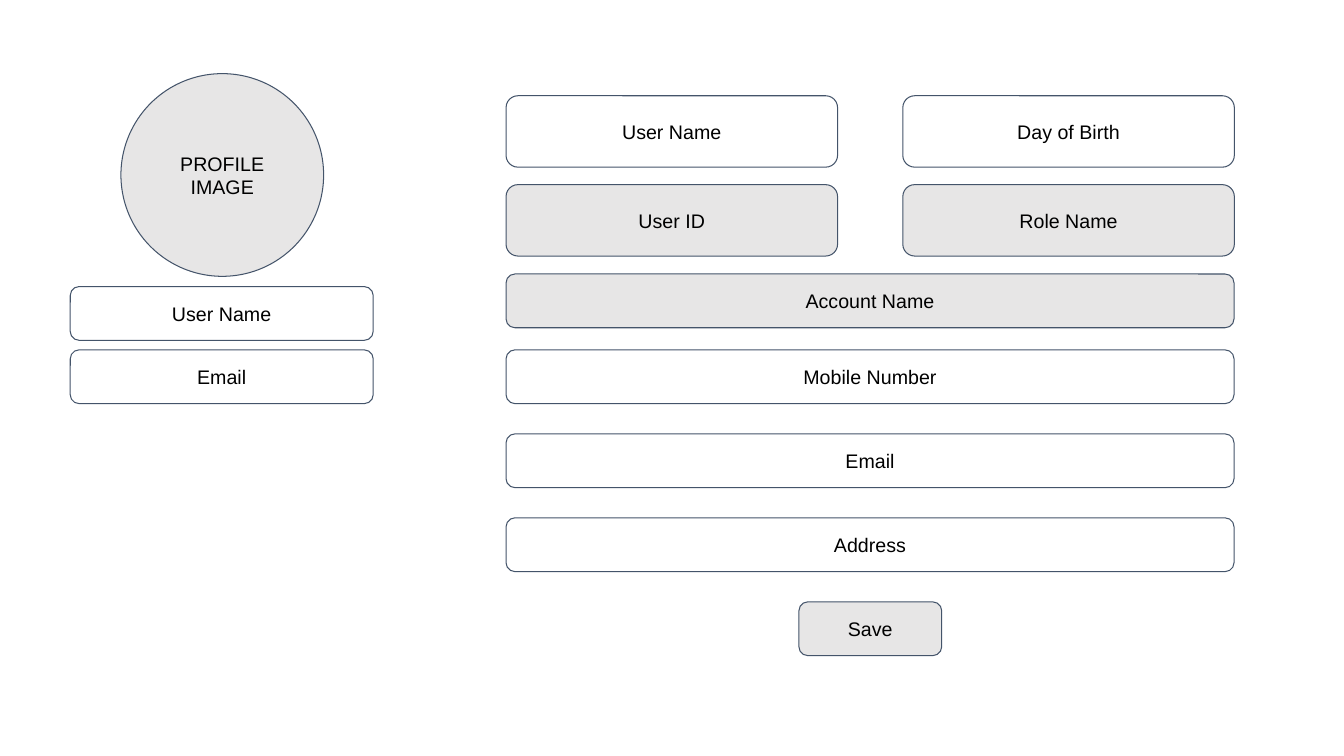
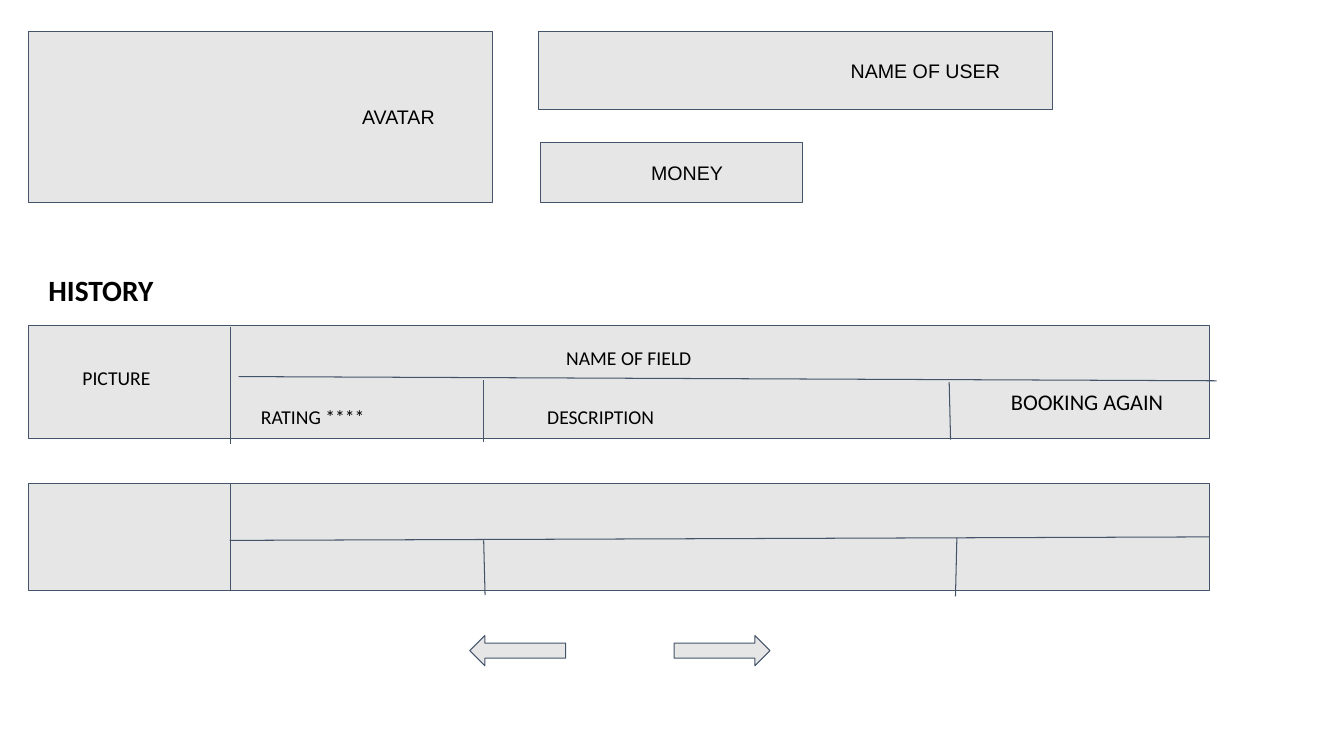
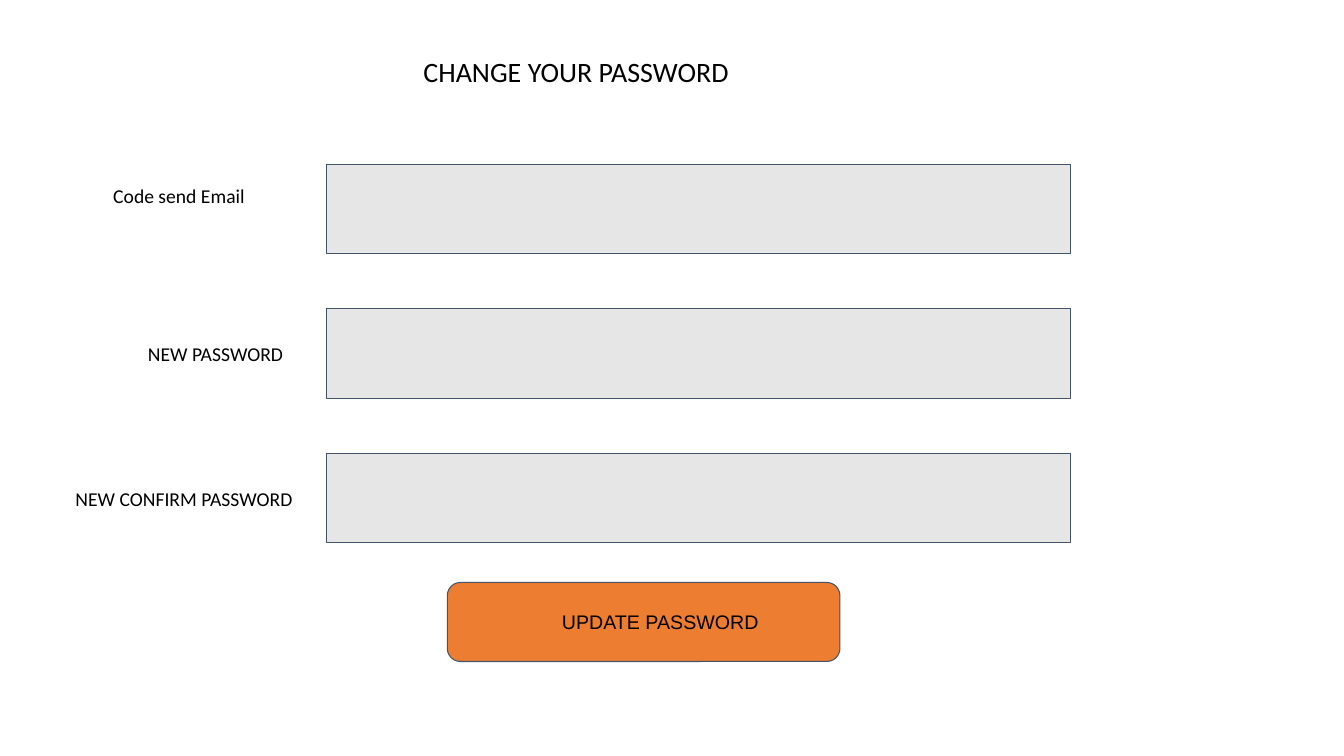
from lxml import etree
from pptx import Presentation
from pptx.dml.color import RGBColor
from pptx.enum.shapes import MSO_CONNECTOR, MSO_SHAPE
from pptx.enum.text import MSO_ANCHOR, MSO_AUTO_SIZE, PP_ALIGN
from pptx.oxml.ns import qn
from pptx.util import Pt

WHITE = RGBColor(0xFF, 0xFF, 0xFF)
BLACK = RGBColor(0x00, 0x00, 0x00)
GRAY = RGBColor(0xE7, 0xE6, 0xE6)
SLATE = RGBColor(0x44, 0x54, 0x6A)
ORANGE = RGBColor(0xED, 0x7D, 0x31)

STRAIGHT = MSO_CONNECTOR.STRAIGHT
OVAL = MSO_SHAPE.OVAL
RECTANGLE = MSO_SHAPE.RECTANGLE
ROUNDED = MSO_SHAPE.ROUNDED_RECTANGLE
LEFT_ARROW = MSO_SHAPE.LEFT_ARROW
RIGHT_ARROW = MSO_SHAPE.RIGHT_ARROW
TOP = MSO_ANCHOR.TOP
MIDDLE = MSO_ANCHOR.MIDDLE
LEFT = PP_ALIGN.LEFT
CENTER = PP_ALIGN.CENTER
FIT_SHAPE = MSO_AUTO_SIZE.SHAPE_TO_FIT_TEXT
FIXED = MSO_AUTO_SIZE.NONE

BORDER = Pt(0.75)
INSET = Pt(7.2)


def write_text(shape, text, font="Calibri", size=14, bold=False,
               align=LEFT, anchor=TOP, fit=FIT_SHAPE, indent=0):
    frame = shape.text_frame
    frame.word_wrap = True
    frame.auto_size = fit
    frame.vertical_anchor = anchor
    frame.margin_left = frame.margin_right = INSET
    frame.margin_top = frame.margin_bottom = INSET
    paragraph = frame.paragraphs[0]
    paragraph.alignment = align
    if indent:
        paragraph._p.get_or_add_pPr().set("marL", str(Pt(indent)))
    run = paragraph.add_run()
    run.text = text
    run.font.name = font
    run.font.size = Pt(size)
    run.font.bold = bold
    run.font.color.rgb = BLACK


def add_box(slide, kind, left, top, width, height, fill=GRAY,
            text="", align=CENTER, indent=0):
    shape = slide.shapes.add_shape(kind, Pt(left), Pt(top), Pt(width), Pt(height))
    shape.shadow.inherit = False
    shape.fill.solid()
    shape.fill.fore_color.rgb = fill
    shape.line.color.rgb = SLATE
    shape.line.width = BORDER
    if text:
        write_text(shape, text, font="Arial", align=align, anchor=MIDDLE,
                   fit=FIXED, indent=indent)
    return shape


presentation = Presentation()
presentation.slide_width = Pt(960)
presentation.slide_height = Pt(540)
title_only = presentation.slide_layouts[5]
blank = presentation.slide_layouts[6]

profile = presentation.slides.add_slide(blank)
add_box(profile, OVAL, 86.4, 52.6, 144.8, 144.8, text="PROFILE IMAGE")

half_fields = [
    [("User Name", WHITE), ("Day of Birth", WHITE)],
    [("User ID", GRAY), ("Role Name", GRAY)],
]
for row, fields in enumerate(half_fields):
    for column, (label, fill) in enumerate(fields):
        add_box(profile, ROUNDED, 361.5 + 283.4 * column, 68.4 + 63.5 * row,
                236.8, 51, fill, label)

for label, left, top, width, fill in [
    ("Account Name", 361.5, 195.7, 520, GRAY),
    ("Mobile Number", 361.5, 249.9, 520, WHITE),
    ("Email", 361.5, 309.9, 520, WHITE),
    ("Address", 361.5, 369.9, 520, WHITE),
    ("Save", 570.7, 429.9, 102, GRAY),
    ("User Name", 50.2, 204.7, 216.4, WHITE),
    ("Email", 50.2, 249.9, 216.4, WHITE),
]:
    add_box(profile, ROUNDED, left, top, width, 38.4, fill, label)

history = presentation.slides.add_slide(title_only)
for label, left, top, width, height, indent in [
    ("AVATAR", 20.5, 22.5, 331, 122, 231),
    ("NAME OF USER", 384.5, 22.5, 367, 55.5, 216),
    ("MONEY", 386, 102, 187, 42.5, 72),
]:
    add_box(history, RECTANGLE, left, top, width, height,
            text=label, align=LEFT, indent=indent)

first_entry = add_box(history, RECTANGLE, 20.5, 232.5, 843.5, 80.5)
second_entry = add_box(history, RECTANGLE, 20.5, 345.5, 843.5, 76)

for from_x, from_y, to_x, to_y, target in [
    (165, 233.5, 165, 317, None),
    (170.5, 269, 869, 272, None),
    (345.5, 271.5, 345.5, 316, None),
    (678, 273, 679, 314, None),
    (165, 345.5, 165, 421.5, None),
    (164, 386, 864, 383.5, second_entry),
    (345.5, 386, 346.5, 425, None),
    (683.5, 384, 682.5, 426, None),
]:
    divider = history.shapes.add_connector(
        STRAIGHT, Pt(from_x), Pt(from_y), Pt(to_x), Pt(to_y))
    divider.line.color.rgb = SLATE
    divider.line.width = BORDER
    etree.SubElement(divider._element.spPr, qn("a:effectLst"))
    if target is not None:
        divider.end_connect(target, 3)

for kind, left in [(LEFT_ARROW, 335.5), (RIGHT_ARROW, 481.5)]:
    add_box(history, kind, left, 454, 68.5, 21.6)

password = presentation.slides.add_slide(title_only)
for row in range(3):
    add_box(password, RECTANGLE, 233.5, 117.3 + 103.3 * row, 531.5, 64)
add_box(password, ROUNDED, 319.5, 416, 280.5, 56.5, ORANGE,
        "UPDATE PASSWORD", LEFT, 72)

for slide, text, left, top, width, height, size, bold in [
    (history, "HISTORY", 27.4, 187.2, 324.7, 40.3, 21, True),
    (password, "CHANGE YOUR PASSWORD", 295.2, 31.7, 443.5, 38.9, 20, False),
]:
    title = slide.shapes.title
    title.left, title.top = Pt(left), Pt(top)
    title.width, title.height = Pt(width), Pt(height)
    write_text(title, text, size=size, bold=bold)

for slide, text, left, top, width, size in [
    (history, "PICTURE", 51.8, 254.2, 113, 14),
    (history, "NAME OF FIELD", 397.4, 239.8, 180, 14),
    (history, "RATING ****", 179.3, 282.2, 149, 14),
    (history, "DESCRIPTION", 383.8, 282.2, 237.6, 14),
    (history, "BOOKING AGAIN", 715, 270, 123.8, 16),
    (password, "Code send Email", 73.8, 124.4, 153.4, 14),
    (password, "NEW PASSWORD", 98.6, 236.9, 153.4, 14),
    (password, "NEW CONFIRM PASSWORD", 46.8, 340.6, 194.4, 14),
]:
    label = slide.shapes.add_textbox(Pt(left), Pt(top), Pt(width), Pt(size * 1.2 + 14.6))
    write_text(label, text, size=size)

presentation.save("out.pptx")
